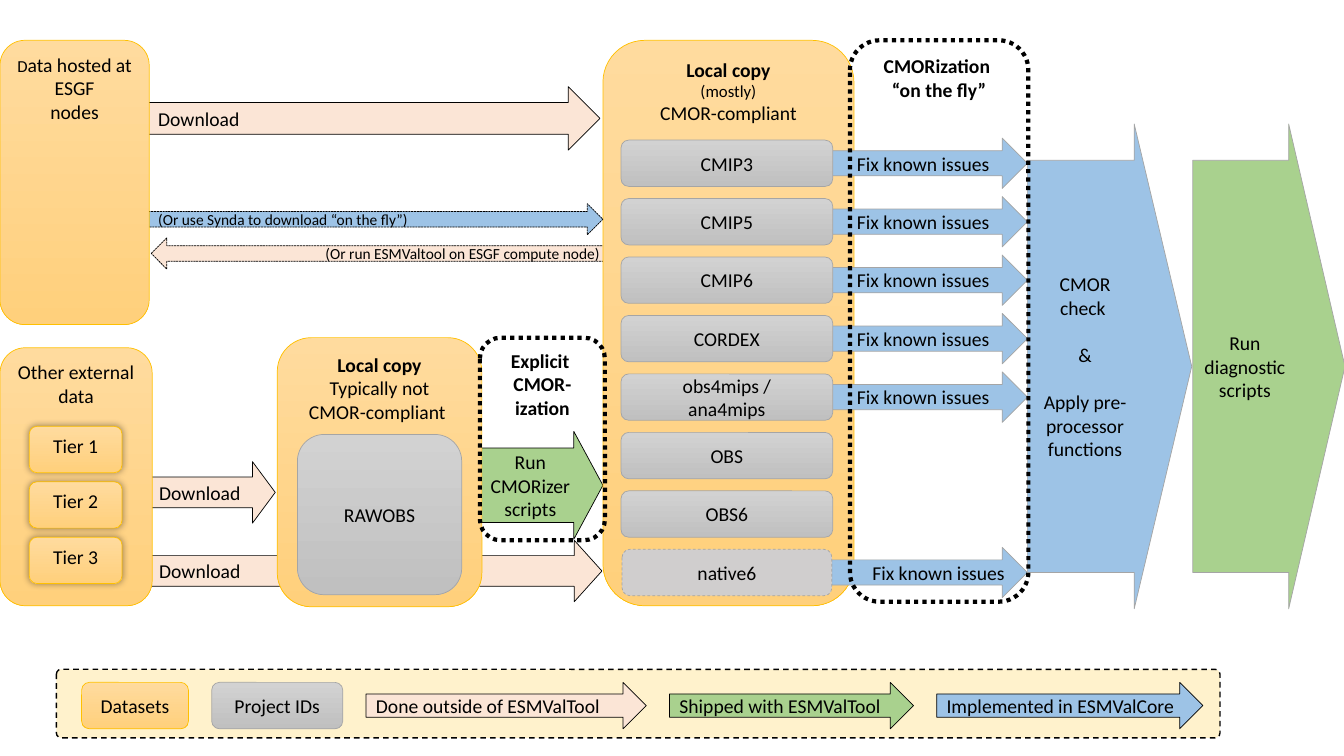
import pptx
import pptx.util
import pptx.dml.color
import pptx.enum.dml
import pptx.enum.shapes
import pptx.enum.text
import pptx.oxml
import pptx.oxml.ns

Inches = pptx.util.Inches
SHAPES = pptx.enum.shapes.MSO_SHAPE
ALIGN = pptx.enum.text.PP_ALIGN
ANCHOR = pptx.enum.text.MSO_ANCHOR
DASH = pptx.enum.dml.MSO_LINE

ORANGE = ("FFDB9E", "FFD07C")
GRAY = ("D2D2D2", "C0C0C0")
BLUE, GREEN, PINK = "9DC3E6", "A9D18E", "FBE5D6"
BLACK, GOLD, SILVER = "000000", "FFC000", "A5A5A5"
PROJECTS = ["CMIP3", "CMIP5", "CMIP6", "CORDEX", "obs4mips /\nana4mips",
            "OBS", "OBS6", "native6"]
FIXED_PROJECTS = PROJECTS[:5] + ["native6"]


def color(value):
    return pptx.dml.color.RGBColor.from_string(value)


def write_text(shape, text, size=14, bold=False, align=ALIGN.CENTER,
               space_before=0, continued=False):
    frame = shape.text_frame
    for line in text.split("\n"):
        if continued or not frame.text:
            paragraph = frame.paragraphs[-1]
        else:
            paragraph = frame.add_paragraph()
        paragraph.alignment = align
        paragraph.space_before = pptx.util.Pt(space_before)
        run = paragraph.add_run()
        run.text = line
        run.font.name = "Calibri"
        run.font.size = pptx.util.Pt(size)
        run.font.bold = bold
        run.font.color.rgb = color(BLACK)


def add_block(slide, kind, box, fill, line, width=0.5, dash=None,
              anchor=ANCHOR.MIDDLE, adjust=()):
    shape = slide.shapes.add_shape(kind, *[Inches(length) for length in box])
    shape.shadow.inherit = False
    if fill is None:
        shape.fill.background()
    elif isinstance(fill, tuple):
        shape.fill.gradient()
        shape.fill.gradient_angle = 270
        for stop, value in zip(shape.fill.gradient_stops, fill):
            stop.color.rgb = color(value)
    else:
        shape.fill.solid()
        shape.fill.fore_color.rgb = color(fill)
    shape.line.color.rgb = color(line)
    shape.line.width = pptx.util.Pt(width)
    if dash is not None:
        shape.line.dash_style = dash
    for index, value in enumerate(adjust):
        shape.adjustments[index] = value
    shape.text_frame.word_wrap = True
    shape.text_frame.vertical_anchor = anchor
    return shape


def add_dataset(slide, box, anchor=ANCHOR.TOP):
    return add_block(slide, SHAPES.FLOWCHART_ALTERNATE_PROCESS, box, ORANGE,
                     GOLD, anchor=anchor)


def add_project(slide, box, text, fill=GRAY, dash=None):
    shape = add_block(slide, SHAPES.FLOWCHART_ALTERNATE_PROCESS, box, fill,
                      SILVER, dash=dash)
    write_text(shape, text)


def add_arrow(slide, box, fill, text, line=BLACK, kind=SHAPES.RIGHT_ARROW,
              dash=None, adjust=(), size=14, align=ALIGN.LEFT):
    shape = add_block(slide, kind, box, fill, line, dash=dash, adjust=adjust)
    write_text(shape, text, size=size, align=align)
    return shape


def add_dotted_frame(slide, box, text):
    shape = add_block(slide, SHAPES.ROUNDED_RECTANGLE, box, None, BLACK,
                      width=3, dash=DASH.ROUND_DOT, anchor=ANCHOR.TOP)
    write_text(shape, text, bold=True)


def add_glow(shape):
    namespace = pptx.oxml.ns.nsdecls("a")
    shadow = pptx.oxml.parse_xml(
        f'<a:outerShdw {namespace} blurRad="63500" dist="0" dir="0">'
        '<a:srgbClr val="000000"><a:alpha val="40000"/></a:srgbClr>'
        '</a:outerShdw>')
    shape.element.spPr.find(pptx.oxml.ns.qn("a:effectLst")).append(shadow)


def add_local_copies(slide):
    add_arrow(slide, (4.74, 4.28, 1.24, 1.07), GREEN, "Run CMORizer scripts",
              adjust=(0.69, 0.27), align=ALIGN.CENTER)
    add_arrow(slide, (1.48, 4.58, 1.25, 0.61), PINK, "Download",
              adjust=(0.5, 0.37))
    add_arrow(slide, (1.48, 5.36, 4.49, 0.61), PINK, "Download",
              adjust=(0.5, 0.45))
    raw_copy = add_dataset(slide, (2.75, 3.35, 2.03, 2.67))
    write_text(raw_copy, "Local copy", bold=True)
    write_text(raw_copy, "Typically not\nCMOR-compliant ")
    add_project(slide, (2.95, 4.31, 1.63, 1.59), "RAWOBS")

    add_arrow(slide, (1.5, 2.36, 4.55, 0.31), PINK,
              "(Or run ESMValtool on ESGF compute node)",
              kind=SHAPES.LEFT_ARROW, dash=DASH.SQUARE_DOT, size=11,
              align=ALIGN.RIGHT)
    compliant_copy = add_dataset(slide, (5.98, 0.4, 2.49, 5.61))
    write_text(compliant_copy, "Local copy", bold=True)
    write_text(compliant_copy, "(mostly)", size=12)
    write_text(compliant_copy, "CMOR-compliant")


def add_projects(slide):
    for index, project in enumerate(PROJECTS):
        top = 1.39 + 0.58 * index
        native = project == "native6"
        if project in FIXED_PROJECTS:
            add_arrow(slide, (8.25, top - 0.02, 1.94, 0.5), BLUE,
                      "Fix known issues", line=SILVER,
                      align=ALIGN.RIGHT if native else ALIGN.CENTER)
        if native:
            add_project(slide, (6.17, top, 2.08, 0.46), project,
                        fill="D0CECE", dash=DASH.DASH)
        else:
            add_project(slide, (6.16, top, 2.1, 0.46), project)


def add_processing(slide):
    check = add_arrow(slide, (10.19, 1.23, 1.63, 4.81), BLUE, "CMOR check ",
                      line=SILVER, adjust=(0.85, 0.35), align=ALIGN.CENTER)
    write_text(check, "&", space_before=17)
    write_text(check, "Apply pre-processor", space_before=17)
    write_text(check, "functions")
    add_arrow(slide, (11.83, 1.23, 1.51, 4.81), GREEN,
              "Run diagnostic scripts", line=SILVER, adjust=(0.85, 0.37),
              align=ALIGN.CENTER)


def add_sources(slide):
    add_arrow(slide, (1.47, 0.86, 4.48, 0.63), PINK, "Download")
    add_arrow(slide, (1.47, 2.02, 4.51, 0.31), BLUE,
              "(Or use Synda to download “on the fly”)",
              dash=DASH.SQUARE_DOT, size=11)
    hosted = add_dataset(slide, (0, 0.4, 1.48, 2.82))
    write_text(hosted, "D", size=12)
    write_text(hosted, "ata hosted at ESGF", continued=True)
    write_text(hosted, "nodes")
    external = add_dataset(slide, (0, 3.45, 1.51, 2.56))
    write_text(external, "Other external data")
    for index in range(3):
        tier = add_dataset(slide, (0.29, 4.23 + 0.55 * index, 0.92, 0.46))
        write_text(tier, f"Tier {index + 1}")
        add_glow(tier)


def add_legend(slide):
    top, height = 6.77, 0.46
    add_block(slide, SHAPES.ROUNDED_RECTANGLE, (0.56, 6.64, 11.54, 0.68),
              "FFF2CC", BLACK, width=1, dash=DASH.DASH, adjust=(0.07,))
    datasets = add_dataset(slide, (0.81, top, 1.06, height), ANCHOR.MIDDLE)
    write_text(datasets, "Datasets")
    add_project(slide, (2.1, top, 1.3, height), "Project IDs")
    for left, width, fill, text in [
            (3.63, 2.78, PINK, "Done outside of ESMValTool"),
            (6.64, 2.42, GREEN, "Shipped with ESMValTool"),
            (9.29, 2.64, BLUE, "Implemented in ESMValCore")]:
        add_arrow(slide, (left, top, width, height), fill, text)


def main():
    presentation = pptx.Presentation()
    presentation.slide_width = Inches(13.33)
    presentation.slide_height = Inches(7.5)
    slide = presentation.slides.add_slide(presentation.slide_layouts[6])
    add_local_copies(slide)
    add_projects(slide)
    add_processing(slide)
    add_legend(slide)
    add_sources(slide)
    add_dotted_frame(slide, (8.43, 0.4, 1.77, 5.57),
                     "CMORization \n“on the fly”")
    add_dotted_frame(slide, (4.76, 3.35, 1.24, 2.01),
                     "Explicit \nCMOR-ization")
    presentation.save("out.pptx")


if __name__ == "__main__":
    main()
